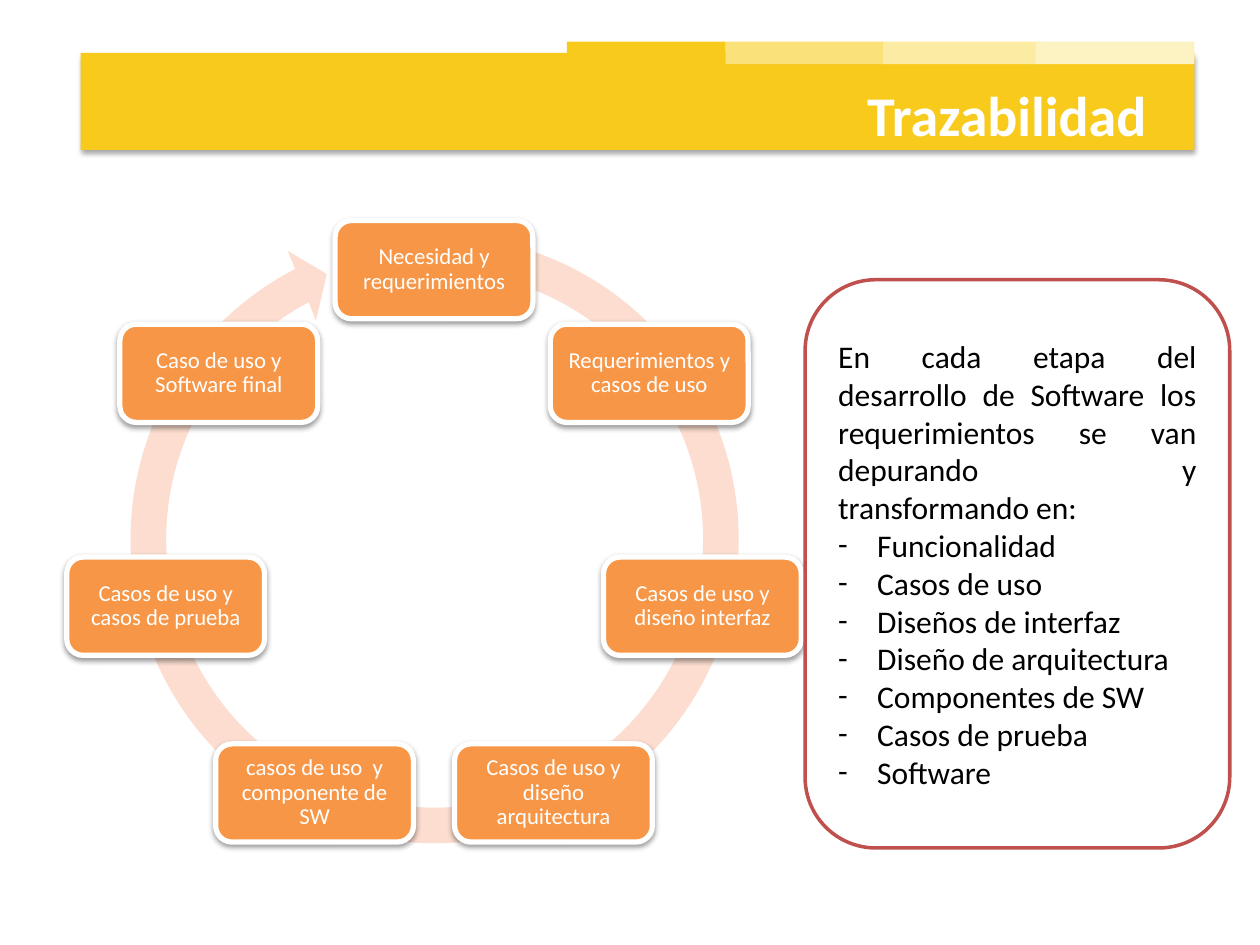
from dataclasses import dataclass
from math import cos, pi, sin
from typing import NamedTuple, Optional

from lxml.etree import SubElement
from pptx import Presentation
from pptx.dml.color import RGBColor
from pptx.enum.shapes import MSO_SHAPE
from pptx.enum.text import MSO_ANCHOR, PP_ALIGN
from pptx.oxml.ns import qn
from pptx.util import Inches, Pt

CELL = 0.1  # the slide is a grid of 100 columns by 75 rows


@dataclass(frozen=True)
class Theme:
    face: str = "Calibri"
    white: str = "FFFFFF"
    black: str = "000000"
    gold: str = "F8CA1B"
    tabs: tuple = ("F8CA1B", "FAE17A", "FCEBA3", "FDF3C2")
    ring: str = "FCDDCF"
    node: str = "F79646"
    edge: str = "C0504D"
    title: int = 32
    body: int = 18
    label: int = 13


class Box(NamedTuple):
    col: float
    row: float
    cols: float
    rows: float


class Line(NamedTuple):
    color: str
    width: float


class Shade(NamedTuple):
    alpha: int
    blur: float
    dist: float


THEME = Theme()
BAND = Box(6.4, 4.2, 88.4, 7.7)
TABS = (45, 57.6, 70.1, 82.2)
RING = Box(8.8, 17.1, 51.4, 51.4)
RING_ADJ = (0.055, 3.307, 145.418, 169.354, 0.058)
HUB = (34.45, 43.25)  # centre of the cycle, column and row
RADIUS = 21.85
NODE = (15.7, 7.8)
STEPS = (
    "Necesidad y requerimientos",
    "Requerimientos y casos de uso",
    "Casos de uso y diseño interfaz",
    "Casos de uso y diseño arquitectura",
    "casos de uso  y componente de SW",
    "Casos de uso y casos de prueba",
    "Caso de uso y Software final",
)
TITLE = Box(56.5, 5.9, 35.5, 6.4)
PANEL = Box(63.9, 22.2, 33.7, 45.1)
INTRO = ("En cada etapa del desarrollo de Software los requerimientos "
         "se van depurando y transformando en:")
ITEMS = ("Funcionalidad", "Casos de uso", "Diseños de interfaz",
         "Diseño de arquitectura", "Componentes de SW",
         "Casos de prueba", "Software")


def place(box: Box) -> list:
    return [Inches(part * CELL) for part in box]


def cast(shape, shade: Shade) -> None:
    """Give the shape a soft shadow that falls straight down."""
    effects = shape._element.spPr.find(qn("a:effectLst"))
    outer = SubElement(effects, qn("a:outerShdw"), blurRad=str(Pt(shade.blur)),
                       dist=str(Pt(shade.dist)), dir="5400000",
                       algn="t", rotWithShape="0")
    tint = SubElement(outer, qn("a:srgbClr"), val=THEME.black)
    SubElement(tint, qn("a:alpha"), val=str(shade.alpha * 1000))


def draw(slide, kind, box: Box, fill: str, line: Optional[Line] = None,
         shade: Optional[Shade] = None):
    shape = slide.shapes.add_shape(kind, *place(box))
    shape.shadow.inherit = False
    shape.fill.solid()
    shape.fill.fore_color.rgb = RGBColor.from_string(fill)
    if line:
        shape.line.color.rgb = RGBColor.from_string(line.color)
        shape.line.width = Pt(line.width)
    else:
        shape.line.fill.background()
    if shade:
        cast(shape, shade)
    return shape


def write(shape, text: str, size: int, color: str, align,
          anchor=MSO_ANCHOR.MIDDLE, bold: bool = False):
    frame = shape.text_frame
    frame.word_wrap = True
    frame.vertical_anchor = anchor
    frame.text = text
    for para in frame.paragraphs:
        para.alignment = align
        for run in para.runs:
            run.font.name = THEME.face
            run.font.size = Pt(size)
            run.font.bold = bold
            run.font.color.rgb = RGBColor.from_string(color)
    return frame


def dash(para) -> None:
    props = para._p.get_or_add_pPr()
    props.set("marL", str(Inches(0.31)))
    props.set("indent", str(-Inches(0.31)))
    SubElement(props, qn("a:buFont"), typeface=THEME.face)
    SubElement(props, qn("a:buChar"), char="-")


def header(slide) -> None:
    draw(slide, MSO_SHAPE.RECTANGLE, BAND, THEME.gold, shade=Shade(35, 3.1, 1.8))
    for col, color in zip(TABS, THEME.tabs):
        draw(slide, MSO_SHAPE.RECTANGLE, Box(col, 3.3, 12.6, 1.8), color)


def cycle(slide) -> None:
    ring = draw(slide, MSO_SHAPE.CIRCULAR_ARROW, RING, THEME.ring)
    for index, value in enumerate(RING_ADJ):
        ring.adjustments[index] = value
    cols, rows = NODE
    for index, text in enumerate(STEPS):
        turn = 2 * pi * index / len(STEPS)
        box = Box(HUB[0] + RADIUS * sin(turn) - cols / 2,
                  HUB[1] - RADIUS * cos(turn) - rows / 2, cols, rows)
        node = draw(slide, MSO_SHAPE.ROUNDED_RECTANGLE, box, THEME.node,
                    Line(THEME.white, 3), Shade(38, 3.1, 1.6))
        frame = write(node, text, THEME.label, THEME.white, PP_ALIGN.CENTER)
        frame.margin_left = frame.margin_right = Inches(0.05)
        frame.margin_top = frame.margin_bottom = Inches(0.05)
        frame.paragraphs[0].line_spacing = 0.9


def panel(slide) -> None:
    shape = draw(slide, MSO_SHAPE.ROUNDED_RECTANGLE, PANEL, THEME.white,
                 Line(THEME.edge, 2))
    frame = write(shape, "\n".join((INTRO, *ITEMS)), THEME.body, THEME.black,
                  PP_ALIGN.JUSTIFY)
    for para in frame.paragraphs[1:]:
        dash(para)


def main() -> None:
    deck = Presentation()
    deck.slide_width, deck.slide_height = Inches(100 * CELL), Inches(75 * CELL)
    slide = deck.slides.add_slide(deck.slide_layouts[6])
    # Yellow band with its tabs
    header(slide)
    # Ring of seven steps
    cycle(slide)
    # Title over the band
    title = slide.shapes.add_textbox(*place(TITLE))
    write(title, "Trazabilidad", THEME.title, THEME.white, PP_ALIGN.RIGHT,
          MSO_ANCHOR.TOP, True)
    # Explanation on the right
    panel(slide)
    deck.save("out.pptx")


if __name__ == "__main__":
    main()
